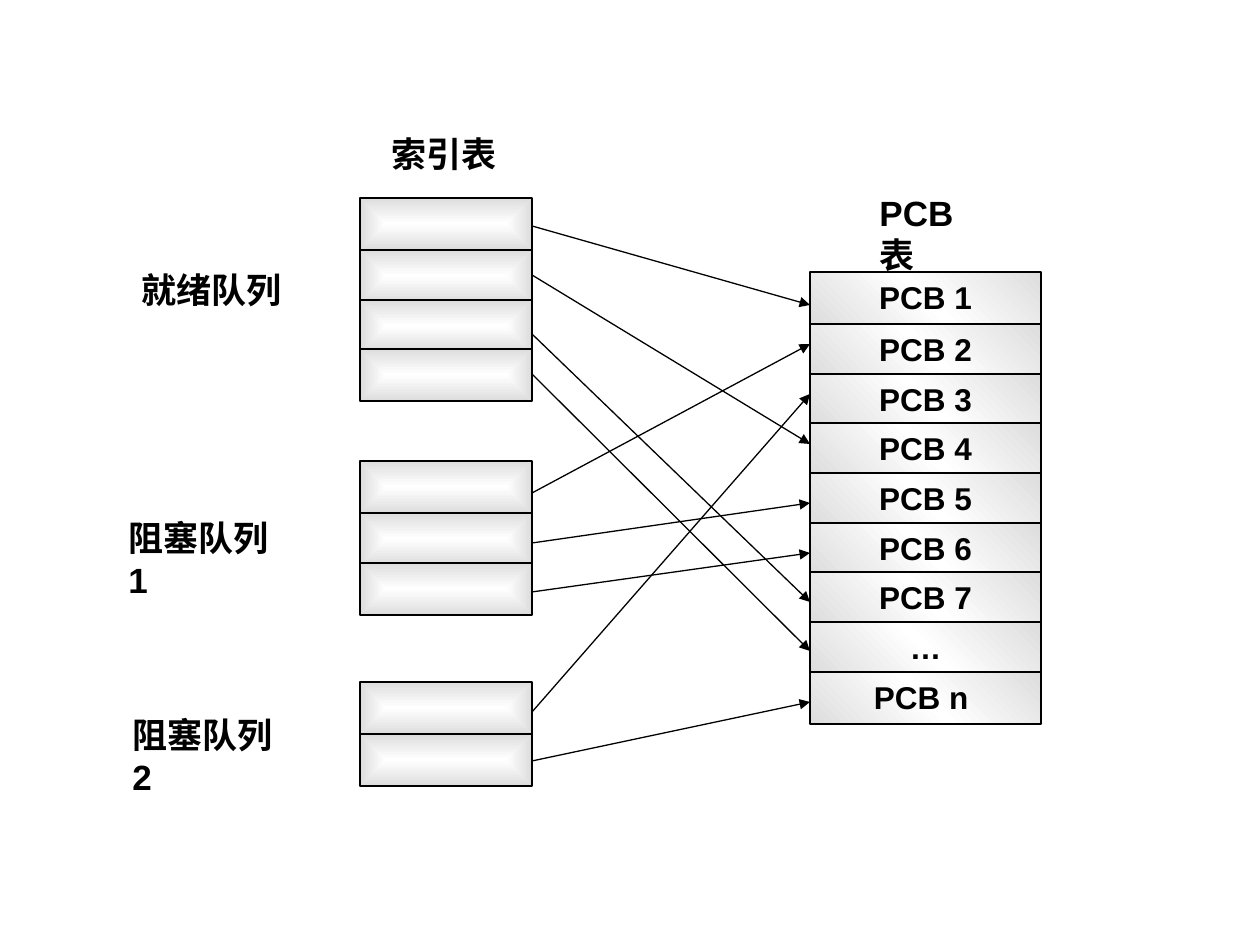
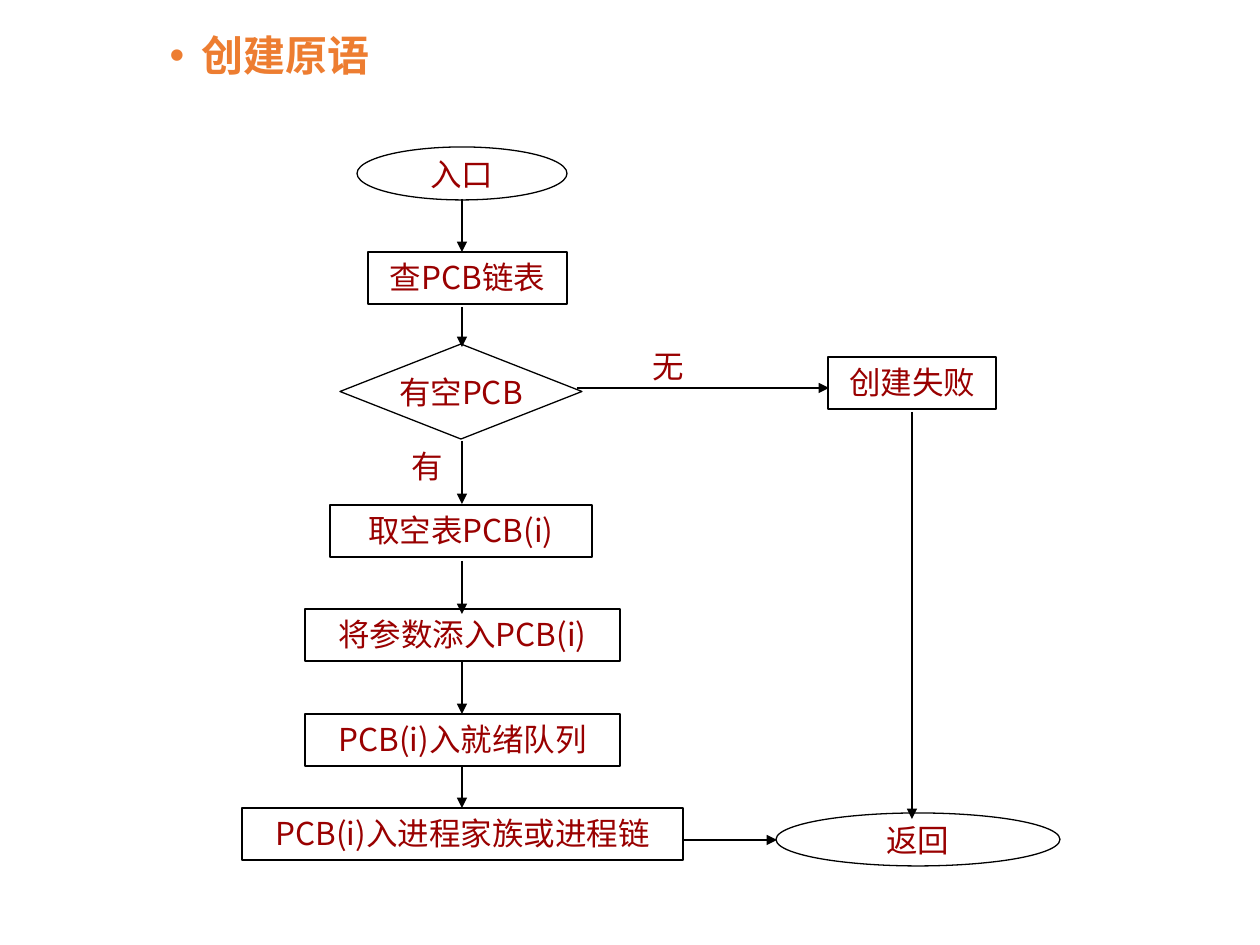
from lxml import etree
from pptx import Presentation
from pptx.dml.color import RGBColor
from pptx.enum.shapes import MSO_CONNECTOR, MSO_SHAPE
from pptx.enum.text import MSO_ANCHOR, PP_ALIGN
from pptx.oxml.ns import qn
from pptx.util import Emu, Inches, Pt

RECT, OVAL, DIAMOND = MSO_SHAPE.RECTANGLE, MSO_SHAPE.OVAL, MSO_SHAPE.DIAMOND
STRAIGHT = MSO_CONNECTOR.STRAIGHT
TOP, MIDDLE = MSO_ANCHOR.TOP, MSO_ANCHOR.MIDDLE
LEFT, CENTER = PP_ALIGN.LEFT, PP_ALIGN.CENTER

PX_PER_INCH = 126
BLACK, WHITE, GRAY = "000000", "FFFFFF", "DDDDDD"
DARK_RED, ORANGE = "990000", "ED7D31"
CJK_FONT = "Noto Sans CJK SC"
HEADING_STYLE = dict(font="Arial", size=20, color=BLACK, bold=True)
CELL_STYLE = dict(font="Arial", size=18, color=BLACK, bold=True)
FLOW_STYLE = dict(font=CJK_FONT, size=18, color=DARK_RED, bold=False)

ROW_HEIGHT, FIRST_STEP, ROW_STEP = 52, 52, 49.7
INDEX_LEFT, INDEX_WIDTH = 360, 172
TABLE_LEFT, TABLE_TOP, TABLE_WIDTH = 810, 272, 231

INDEX_GROUPS = [(198, 4), (461, 3), (682, 2)]
PCB_ROWS = ["PCB 1", "PCB 2", "PCB 3", "PCB 4", "PCB 5", "PCB 6", "PCB 7", "…", "PCB n "]
INDEX_LINKS = [(226, 305), (275, 444), (334, 602), (374, 651), (493, 344),
               (543, 503), (592, 553), (712, 394), (761, 702)]
HEADINGS = [
    ("索引表", (379, 126, 131, 54), 0),
    ("就绪队列", (129, 262, 166, 54), 0),
    ("阻塞队列 1", (116, 510, 197, 55), 38),
    ("阻塞队列 2", (120, 707, 197, 55), 38),
    ("PCB表", (867, 185, 135, 54), 28),
]

FLOW_TITLE = "创建原语"
FLOW_STEPS = [
    ("入口", OVAL, (357, 147, 210, 53)),
    ("查PCB链表", RECT, (368, 252, 199, 52)),
    ("有空PCB", DIAMOND, (340, 344, 242, 95)),
    ("取空表PCB(i)", RECT, (330, 505, 262, 52)),
    ("将参数添入PCB(i)", RECT, (305, 609, 315, 52)),
    ("PCB(i)入就绪队列", RECT, (305, 714, 315, 52)),
    ("PCB(i)入进程家族或进程链", RECT, (242, 808, 441, 52)),
    ("返回", OVAL, (776, 813, 284, 53)),
    ("创建失败", RECT, (828, 357, 168, 52)),
]
FLOW_AXIS = 462
FLOW_DROPS = [(199, 252), (307, 347), (441, 504), (561, 614), (661, 714), (766, 808)]
FLOW_BRANCHES = [(577, 388, 829, 388), (683, 840, 777, 840), (912, 412, 912, 819)]
BRANCH_LABELS = [("有", (399, 441, 57, 50)), ("无", (640, 341, 57, 50))]


def px(length):
    return Emu(round(length * 914400 / PX_PER_INCH))


def rgb(value):
    return RGBColor.from_string(value)


def style_text(paragraph, font, size, color, bold):
    for span in paragraph.runs:
        span.font.name = font
        span.font.size = Pt(size)
        span.font.bold = bold
        span.font.color.rgb = rgb(color)
        east = etree.Element(qn("a:ea"), typeface=CJK_FONT)
        span.font._element.find(qn("a:latin")).addnext(east)


def write(box, text, style, align=LEFT, anchor=TOP, wrap=False):
    frame = box.text_frame
    frame.text = text
    frame.word_wrap = wrap
    frame.vertical_anchor = anchor
    paragraph = frame.paragraphs[0]
    paragraph.alignment = align
    style_text(paragraph, **style)


def add_label(slide, text, place, style, squeeze=0):
    box = slide.shapes.add_textbox(*map(px, place))
    write(box, text, style, wrap=squeeze > 0)
    if squeeze:
        box.text_frame.margin_right = px(squeeze)


def add_box(slide, kind, place):
    box = slide.shapes.add_shape(kind, *map(px, place))
    box.shadow.inherit = False
    box.line.color.rgb = rgb(BLACK)
    box.line.width = Pt(0.75)
    return box


def fill_gradient(box, stops, angle=None):
    gradient = etree.Element(qn("a:gradFill"), rotWithShape="1")
    stop_list = etree.SubElement(gradient, qn("a:gsLst"))
    for position, color in stops:
        stop = etree.SubElement(stop_list, qn("a:gs"), pos=str(position * 1000))
        etree.SubElement(stop, qn("a:srgbClr"), val=color)
    if angle is None:
        shade = etree.SubElement(gradient, qn("a:path"), {"path": "shape"})
        etree.SubElement(shade, qn("a:fillToRect"), dict.fromkeys("ltrb", "50000"))
    else:
        etree.SubElement(gradient, qn("a:lin"), ang=str(angle * 60000), scaled="1")
    box.element.spPr.find(qn("a:prstGeom")).addnext(gradient)


def add_arrow(slide, *ends):
    arrow = slide.shapes.add_connector(STRAIGHT, *map(px, ends))
    arrow.line.color.rgb = rgb(BLACK)
    arrow.line.width = Pt(0.75)
    properties = arrow.element.spPr
    etree.SubElement(properties.find(qn("a:ln")), qn("a:tailEnd"), type="triangle")
    etree.SubElement(properties, qn("a:effectLst"))


def row_top(start, row):
    return start if row == 0 else round(start + FIRST_STEP + (row - 1) * ROW_STEP)


def build_index_slide(deck):
    slide = deck.slides.add_slide(deck.slide_layouts[6])
    for start, count in INDEX_GROUPS:
        for row in range(count):
            cell = add_box(slide, RECT, (INDEX_LEFT, row_top(start, row), INDEX_WIDTH, ROW_HEIGHT))
            fill_gradient(cell, [(0, WHITE), (100, GRAY)])
    for start, end in INDEX_LINKS:
        add_arrow(slide, INDEX_LEFT + INDEX_WIDTH, start, TABLE_LEFT, end)
    for row, text in enumerate(PCB_ROWS):
        cell = add_box(slide, RECT, (TABLE_LEFT, row_top(TABLE_TOP, row), TABLE_WIDTH, ROW_HEIGHT))
        fill_gradient(cell, [(0, GRAY), (50, WHITE), (100, GRAY)], angle=315)
        write(cell, text, CELL_STYLE, CENTER)
    for text, place, squeeze in HEADINGS:
        add_label(slide, text, place, HEADING_STYLE, squeeze)


def add_flow_title(slide):
    title = slide.shapes.title
    title.element.getparent().remove(title.element)
    body = slide.placeholders[1]
    body.left, body.top, body.width, body.height = map(px, (94, 29, 1071, 829))
    body.text_frame.text = FLOW_TITLE
    paragraph = body.text_frame.paragraphs[0]
    paragraph.level = 1
    paragraph.line_spacing = 0.9
    paragraph.space_before = Pt(0)
    properties = paragraph._p.get_or_add_pPr()
    properties.set("marL", str(Inches(0.75)))
    properties.set("indent", str(Inches(-0.25)))
    etree.SubElement(properties, qn("a:buFont"), typeface="Arial")
    etree.SubElement(properties, qn("a:buChar"), char="•")
    style_text(paragraph, "Calibri", 24, ORANGE, True)


def build_flow_slide(deck):
    slide = deck.slides.add_slide(deck.slide_layouts[1])
    add_flow_title(slide)
    for text, kind, place in FLOW_STEPS:
        box = add_box(slide, kind, place)
        box.fill.background()
        write(box, text, FLOW_STYLE, CENTER, TOP if kind == RECT else MIDDLE)
    for start, end in FLOW_DROPS:
        add_arrow(slide, FLOW_AXIS, start, FLOW_AXIS, end)
    for ends in FLOW_BRANCHES:
        add_arrow(slide, *ends)
    for text, place in BRANCH_LABELS:
        add_label(slide, text, place, FLOW_STYLE)


def main():
    deck = Presentation()
    deck.slide_width, deck.slide_height = Inches(10), Inches(7.5)
    build_index_slide(deck)
    build_flow_slide(deck)
    deck.save("out.pptx")


if __name__ == "__main__":
    main()
